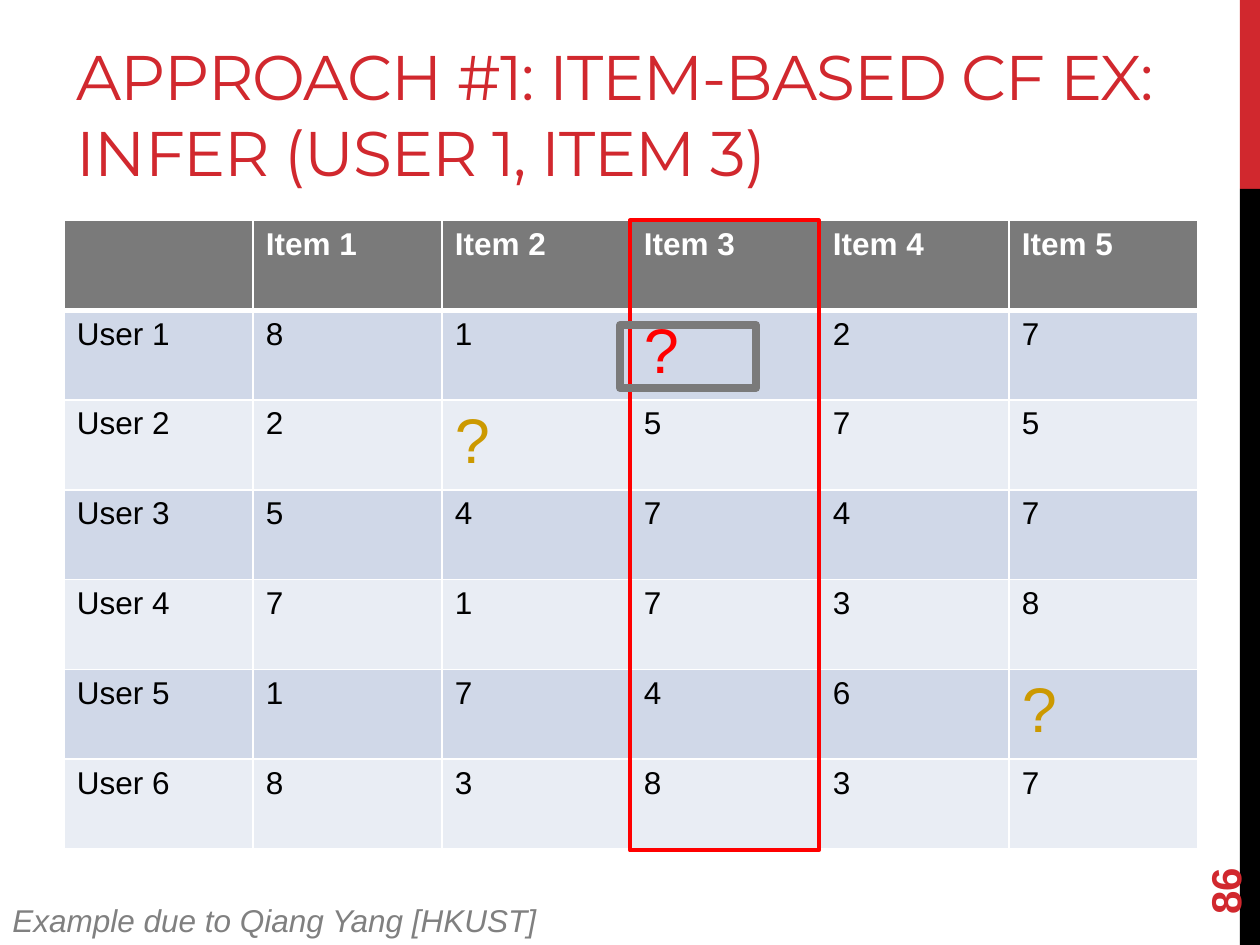
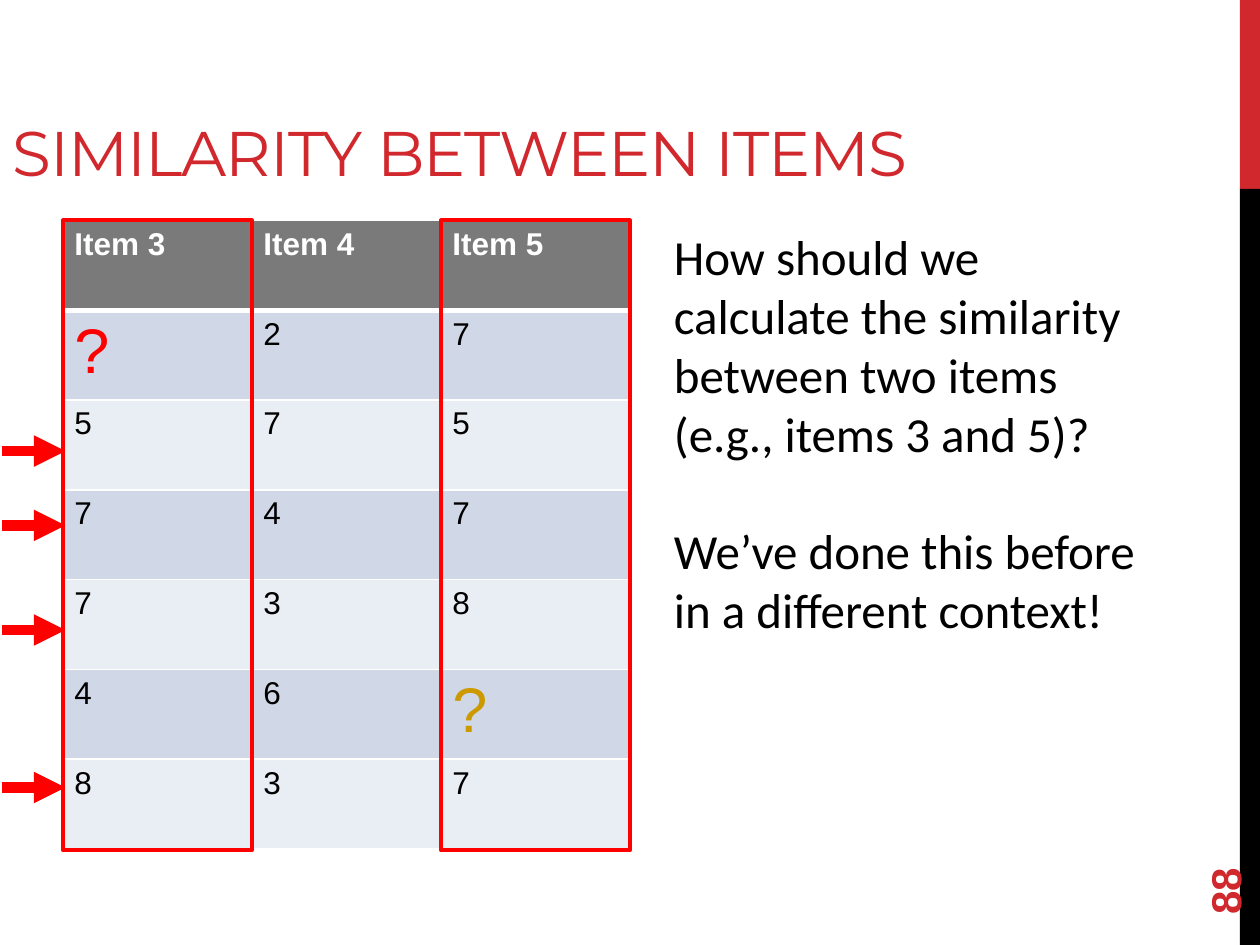
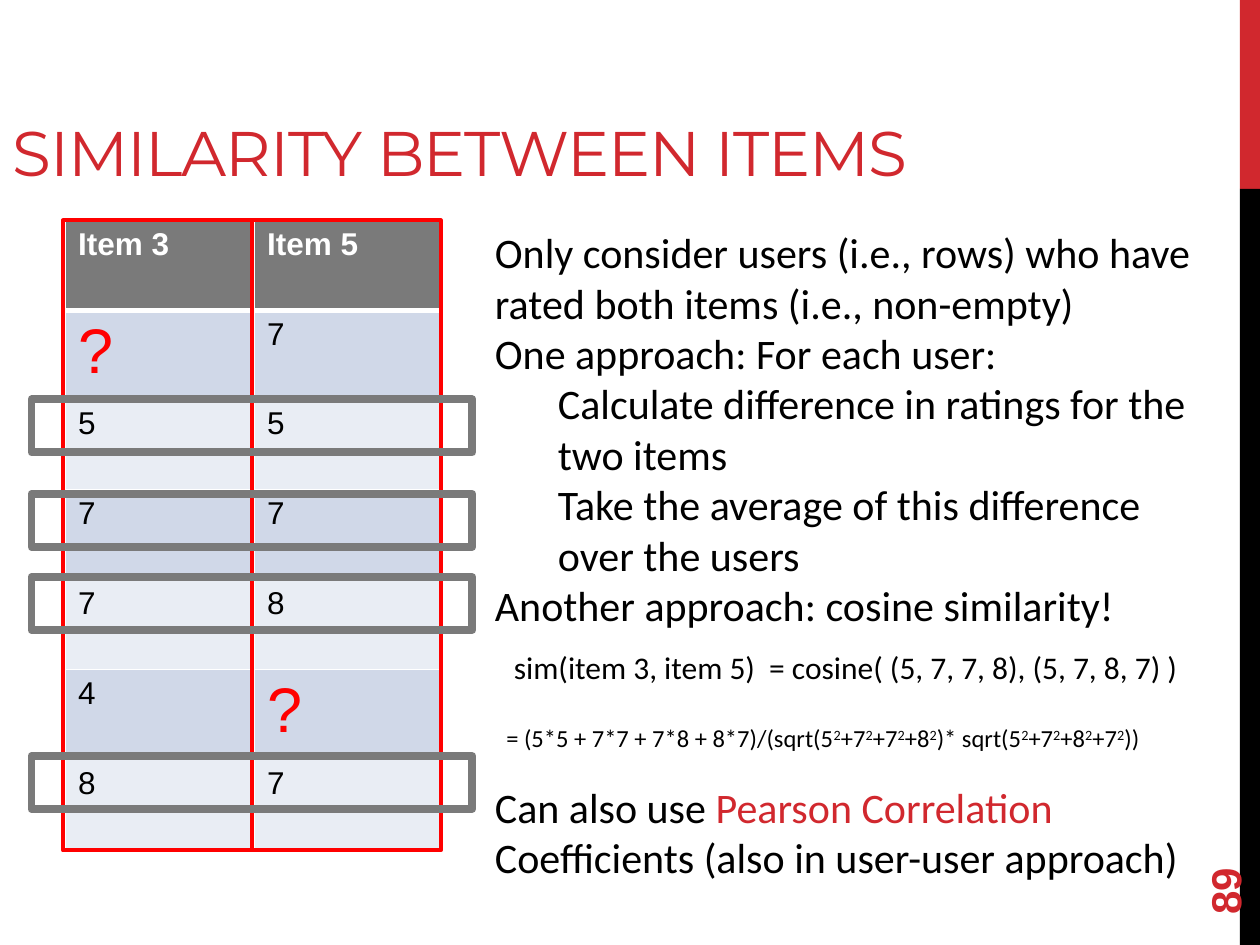
from pptx import Presentation
from pptx.dml.color import RGBColor
from pptx.enum.shapes import MSO_CONNECTOR, MSO_SHAPE
from pptx.enum.text import MSO_ANCHOR, MSO_AUTO_SIZE, PP_ALIGN
from pptx.oxml import parse_xml
from pptx.oxml.ns import nsdecls, qn
from pptx.oxml.xmlchemy import OxmlElement
from pptx.util import Inches, Pt

CRIMSON = RGBColor(0xD1, 0x28, 0x2E)
RED = RGBColor(0xFF, 0x00, 0x00)
GOLD = RGBColor(0xCC, 0x99, 0x00)
GRAY = RGBColor(0x7A, 0x7A, 0x7A)
CREDIT_GRAY = RGBColor(0x80, 0x80, 0x80)
BLACK = RGBColor(0x00, 0x00, 0x00)
WHITE = RGBColor(0xFF, 0xFF, 0xFF)
ROW_FILLS = [RGBColor(0xD0, 0xD8, 0xE8), RGBColor(0xE9, 0xED, 0xF4)]

SLIDE_WIDTH, SLIDE_HEIGHT = 10, 7.5
BAND_LEFT, BAND_SPLIT = 9.84, 1.5
TABLE_TOP, TABLE_HEIGHT, COLUMN_WIDTH = 1.75, 4.99, 1.5
FRAME_LEFT, FRAME_HEIGHT = 0.5, 5

RATINGS = {
    "": ["User 1", "User 2", "User 3", "User 4", "User 5", "User 6"],
    "Item 1": ["8", "2", "5", "7", "1", "8"],
    "Item 2": ["1", "?", "4", "1", "7", "3"],
    "Item 3": ["?", "5", "7", "7", "4", "8"],
    "Item 4": ["2", "7", "4", "3", "6", "3"],
    "Item 5": ["7", "5", "7", "8", "?", "7"],
}

# "target_items" are the columns whose missing ratings are red
SLIDES = [
    {
        "title": "APPROACH #1: ITEM-BASED CF EX: INFER (USER 1, ITEM 3)",
        "title_left": 0.51,
        "number": "86",
        "items": list(RATINGS),
        "table_left": 0.51,
        "target_items": ["Item 3"],
        "framed_items": ["Item 3"],
    },
    {
        "title": "SIMILARITY BETWEEN ITEMS",
        "title_left": 0,
        "number": "88",
        "items": ["Item 3", "Item 4", "Item 5"],
        "table_left": 0.49,
        "target_items": ["Item 3"],
        "framed_items": ["Item 3", "Item 5"],
    },
    {
        "title": "SIMILARITY BETWEEN ITEMS",
        "title_left": 0,
        "number": "89",
        "items": ["Item 3", "Item 5"],
        "table_left": 0.52,
        "target_items": ["Item 3", "Item 5"],
        "framed_items": ["Item 3", "Item 5"],
    },
]

CREDIT = "Example due to Qiang Yang [HKUST]"
UNKNOWN_BOX = (4.92, 2.58, 1.08, 0.5)
ARROW_HEIGHTS = [3.58, 4.17, 5, 6.25]
RATED_ROW_TOPS = [3.17, 3.92, 4.58, 6]

# Paragraphs: (text pieces with colours, left indent in inches, space before in points)
QUESTION = [
    ([("How should we calculate the similarity between two items "
       "(e.g., items 3 and 5)?", BLACK)], 0, 0),
    ([("We’ve done this before in a different context!", BLACK)], 0, 33.6),
]
APPROACHES = [
    ([("Only consider users (i.e., rows) who have rated both items "
       "(i.e., non-empty)", BLACK)], 0, 0),
    ([("One approach: For each user:", BLACK)], 0, 0),
    ([("Calculate difference in ratings for the two items", BLACK)], 0.5, 0),
    ([("Take the average of this difference over the users", BLACK)], 0.5, 0),
    ([("Another approach: cosine similarity!", BLACK)], 0, 0),
    ([("Can also use ", BLACK), ("Pearson Correlation", CRIMSON),
      (" Coefficients (also in user-user approach)", BLACK)], 0, 86.4),
]
COSINE = "sim(item 3, item 5)  = cosine( (5, 7, 7, 8), (5, 7, 8, 7) )"
COSINE_EXPANDED = ("= (5*5 + 7*7 + 7*8 + 8*7)/"
                   "(sqrt(5²+7²+7²+8²)* sqrt(5²+7²+8²+7²))")


def inches(*lengths):
    return [Inches(length) for length in lengths]


def set_font(paragraph, name, size, color=None, bold=False, italic=False):
    font = paragraph.font
    font.name, font.size, font.bold, font.italic = name, Pt(size), bold, italic
    if color is not None:
        font.color.rgb = color


def add_rectangle(slide, box, fill=None, line=None, line_width=0):
    rectangle = slide.shapes.add_shape(MSO_SHAPE.RECTANGLE, *inches(*box))
    rectangle.shadow.inherit = False
    if fill is None:
        rectangle.fill.background()
    else:
        rectangle.fill.solid()
        rectangle.fill.fore_color.rgb = fill
    if line is None:
        rectangle.line.fill.background()
    else:
        rectangle.line.color.rgb = line
        rectangle.line.width = Pt(line_width)
    return rectangle


def add_text_box(slide, box, wrap=True):
    text_box = slide.shapes.add_textbox(*inches(*box))
    text_box.text_frame.word_wrap = wrap
    return text_box


def next_paragraph(text_frame, index, indent=0, space_before=0):
    paragraph = text_frame.add_paragraph() if index else text_frame.paragraphs[0]
    if indent:
        properties = paragraph._p.get_or_add_pPr()
        properties.set("marL", str(Inches(indent)))
        properties.set("indent", "0")
    if space_before:
        paragraph.space_before = Pt(space_before)
    return paragraph


def add_bands(slide, layout):
    """Draw the side bands and move them to the layout that all slides use."""
    bands = [(0, BAND_SPLIT, CRIMSON), (BAND_SPLIT, SLIDE_HEIGHT - BAND_SPLIT, BLACK)]
    for index, (top, height, color) in enumerate(bands):
        box = (BAND_LEFT, top, SLIDE_WIDTH - BAND_LEFT, height)
        band = add_rectangle(slide, box, fill=color)
        band.element.nvSpPr.cNvPr.set("id", str(100 + index))
        layout.shapes.element.append(band.element)


def format_title(slide, text, left):
    title = slide.shapes.title
    title.left, title.top, title.width, title.height = inches(left, 0.3, 9, 1.25)
    frame = title.text_frame
    frame.text = text
    frame.auto_size = MSO_AUTO_SIZE.NONE
    frame.vertical_anchor = MSO_ANCHOR.BOTTOM
    paragraph = frame.paragraphs[0]
    paragraph.alignment = PP_ALIGN.LEFT
    set_font(paragraph, "Montserrat", 36, CRIMSON)
    paragraph.runs[0].font._element.set("spc", "-60")


def add_slide_number(slide, number):
    text_box = add_text_box(slide, (9, 6.44, 1.44, 0.4))
    text_box.rotation = 270
    text_box.text_frame.vertical_anchor = MSO_ANCHOR.MIDDLE
    paragraph = text_box.text_frame.paragraphs[0]
    paragraph.text = number
    set_font(paragraph, "Arial", 24, CRIMSON, bold=True)


def set_borders(cell, row):
    """White borders, with a heavier line under the header row."""
    widths = {"lnL": 1, "lnR": 1, "lnT": 3 if row == 1 else 1, "lnB": 3 if row == 0 else 1}
    properties = cell._tc.get_or_add_tcPr()
    for side, width in widths.items():
        properties.append(parse_xml(
            f'<a:{side} {nsdecls("a")} w="{Pt(width)}"><a:solidFill>'
            f'<a:srgbClr val="{WHITE}"/></a:solidFill></a:{side}>'))


def add_ratings_table(slide, items, left, target_items):
    columns = [[item] + RATINGS[item] for item in items]
    row_count = len(columns[0])
    box = (left, TABLE_TOP, COLUMN_WIDTH * len(items), TABLE_HEIGHT)
    table = slide.shapes.add_table(row_count, len(items), *inches(*box)).table
    for column, values in enumerate(columns):
        for row, value in enumerate(values):
            cell = table.cell(row, column)
            set_borders(cell, row)
            cell.fill.solid()
            cell.fill.fore_color.rgb = ROW_FILLS[(row - 1) % 2] if row else GRAY
            paragraph = cell.text_frame.paragraphs[0]
            paragraph.text = value
            if value == "?":
                color = RED if items[column] in target_items else GOLD
                set_font(paragraph, "Arial", 36, color)
            else:
                set_font(paragraph, "Arial", 18, BLACK if row else WHITE, bold=row == 0)


def add_item_frames(slide, items, framed_items):
    for item in framed_items:
        left = FRAME_LEFT + COLUMN_WIDTH * items.index(item)
        add_rectangle(slide, (left, TABLE_TOP, COLUMN_WIDTH, FRAME_HEIGHT),
                      line=RED, line_width=2.25)


def add_body(slide, box, paragraphs, size):
    frame = add_text_box(slide, box).text_frame
    for index, (pieces, indent, space_before) in enumerate(paragraphs):
        paragraph = next_paragraph(frame, index, indent, space_before)
        set_font(paragraph, "Calibri", size)
        for text, color in pieces:
            run = paragraph.add_run()
            run.text = text
            run.font.color.rgb = color


def add_arrow(slide, height):
    arrow = slide.shapes.add_connector(
        MSO_CONNECTOR.STRAIGHT, *inches(0.02, height, 0.52, height))
    arrow.line.color.rgb = RED
    arrow.line.width = Pt(6)
    head = OxmlElement("a:tailEnd")
    head.set("type", "triangle")
    arrow.element.spPr.find(qn("a:ln")).append(head)
    arrow.element.spPr.append(OxmlElement("a:effectLst"))


def add_cosine_formula(slide):
    frame = add_text_box(slide, (3.92, 5.09, 6, 0.94)).text_frame
    formula = next_paragraph(frame, 0, indent=0.06)
    formula.text = COSINE
    set_font(formula, "Calibri", 18, BLACK)
    expanded = next_paragraph(frame, 1, space_before=21.6)
    set_font(expanded, "Calibri", 14, BLACK)
    for index, text in enumerate(COSINE_EXPANDED.split("²")):
        if index:
            exponent = expanded.add_run()
            exponent.text = "2"
            exponent.font._element.set("baseline", "30000")
        expanded.add_run().text = text


def add_inference_parts(slide):
    add_rectangle(slide, UNKNOWN_BOX, line=GRAY, line_width=4.5)
    credit = add_text_box(slide, (0, 7.1, 4.4, 0.4), wrap=False)
    paragraph = credit.text_frame.paragraphs[0]
    paragraph.text = CREDIT
    set_font(paragraph, "Arial", 18, CREDIT_GRAY, italic=True)


def add_question_parts(slide):
    add_body(slide, (5.25, TABLE_TOP, 3.92, 3.4), QUESTION, 28)
    for height in ARROW_HEIGHTS:
        add_arrow(slide, height)


def add_approach_parts(slide):
    add_body(slide, (3.83, TABLE_TOP, 5.83, 5.35), APPROACHES, 24)
    for top in RATED_ROW_TOPS:
        add_rectangle(slide, (0.25, top, 3.5, 0.42), line=GRAY, line_width=4.5)
    add_cosine_formula(slide)


def main():
    presentation = Presentation()
    presentation.slide_width, presentation.slide_height = inches(SLIDE_WIDTH, SLIDE_HEIGHT)
    layout = presentation.slide_layouts.get_by_name("Title Only")
    part_builders = [add_inference_parts, add_question_parts, add_approach_parts]
    for content, add_parts in zip(SLIDES, part_builders):
        slide = presentation.slides.add_slide(layout)
        if len(presentation.slides) == 1:
            add_bands(slide, layout)
        format_title(slide, content["title"], content["title_left"])
        add_ratings_table(slide, content["items"], content["table_left"],
                          content["target_items"])
        add_item_frames(slide, content["items"], content["framed_items"])
        add_parts(slide)
        add_slide_number(slide, content["number"])
    presentation.save("out.pptx")


if __name__ == "__main__":
    main()
